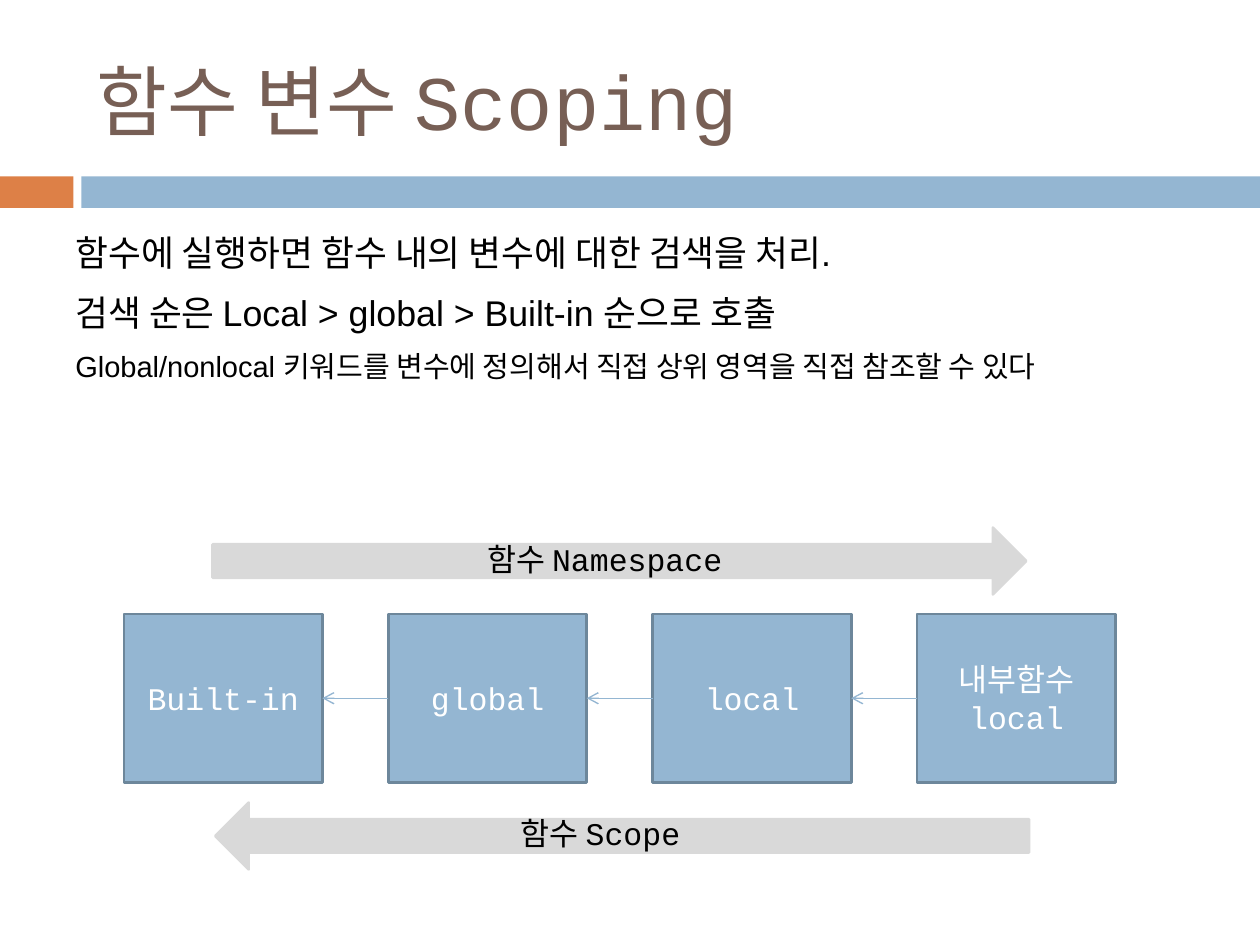
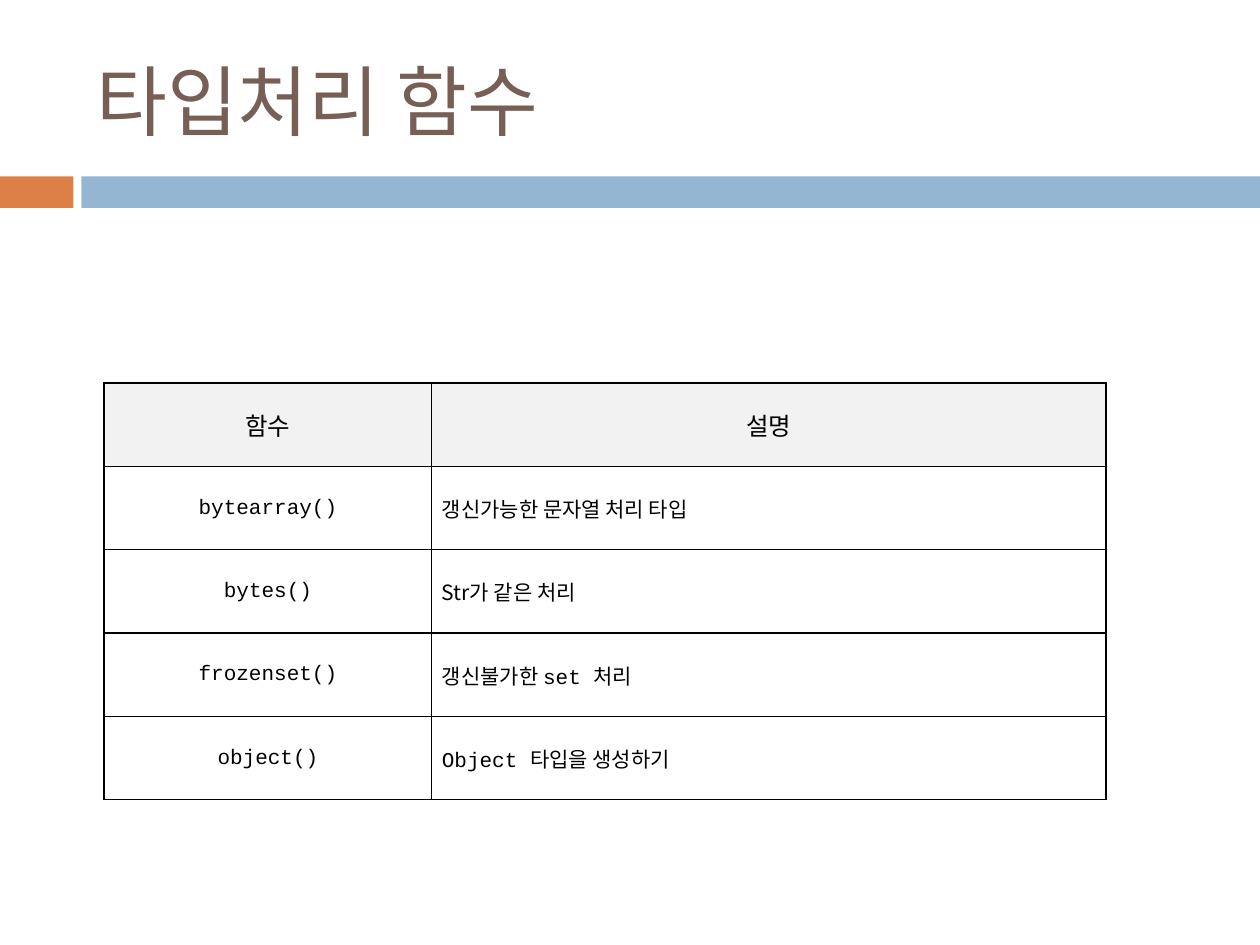
from lxml import etree
from pptx import Presentation
from pptx.dml.color import RGBColor
from pptx.enum.shapes import MSO_CONNECTOR, MSO_SHAPE
from pptx.enum.text import MSO_ANCHOR, PP_ALIGN
from pptx.oxml import parse_xml
from pptx.oxml.ns import nsdecls, qn
from pptx.util import Pt

COLORS = {
    "title": "775F55", "orange": "DD8047", "blue": "94B6D2", "outline": "6D879B",
    "gray": "D9D9D9", "header": "F2F2F2", "black": "000000", "white": "FFFFFF",
}
MONO, SANS, KOREAN = "Courier New", "Arial", "Noto Sans CJK KR"


def write(frame, lines, color="black", align=PP_ALIGN.LEFT, **frame_format):
    for name, value in {"word_wrap": True, **frame_format}.items():
        setattr(frame, name, value)
    for index, (text, size, font) in enumerate(lines):
        para = frame.paragraphs[0] if index == 0 else frame.add_paragraph()
        para.alignment = align
        span = para.add_run()
        span.text = text
        span.font.color.rgb = RGBColor.from_string(COLORS[color])
        for name, value in {"size": Pt(size), "name": font}.items():
            setattr(span.font, name, value)
        etree.SubElement(span._r.get_or_add_rPr(), qn("a:ea"), typeface=KOREAN)


def add_block(page, kind, place, fill, line=None):
    block = page.shapes.add_shape(kind, *map(Pt, place))
    block.shadow.inherit = False
    block.fill.solid()
    block.fill.fore_color.rgb = RGBColor.from_string(COLORS[fill])
    if line:
        block.line.color.rgb = RGBColor.from_string(COLORS[line])
        block.line.width = Pt(1.5)
    else:
        block.line.fill.background()
    return block


deck = Presentation()
deck.slide_width, deck.slide_height = Pt(720), Pt(540)

pages = []
for title in ("함수 변수 Scoping", "타입처리 함수"):
    page = deck.slides.add_slide(deck.slide_layouts[6])
    add_block(page, MSO_SHAPE.RECTANGLE, (0, 100.8, 42, 18), "orange")
    add_block(page, MSO_SHAPE.RECTANGLE, (46.5, 100.8, 673.5, 18), "blue")
    box = page.shapes.add_textbox(Pt(48), Pt(18), Pt(642), Pt(78))
    write(box.text_frame, [(title, 44, MONO)], "title", vertical_anchor=MSO_ANCHOR.MIDDLE)
    pages.append(page)
scope_page, type_page = pages

body = scope_page.shapes.add_textbox(Pt(36), Pt(126), Pt(648), Pt(98.6))
write(body.text_frame, [
    ("함수에 실행하면 함수 내의 변수에 대한 검색을 처리.", 20.4, SANS),
    ("검색 순은 Local > global > Built-in 순으로 호출", 20.4, SANS),
    ("Global/nonlocal 키워드를 변수에 정의해서 직접 상위 영역을 직접 참조할 수 있다", 16.6, SANS),
])
for index, para in enumerate(body.text_frame.paragraphs):
    para.line_spacing = 1.1
    para.space_before = Pt(7 if index else 0)

for label, arrow_place, rotation, label_place in (
    ("함수 Namespace", (121.5, 301.5, 465, 38.2), 0, (218, 305.3, 255, 29)),
    ("함수 Scope ", (123, 458.6, 465, 38.2), 180, (269.3, 461.5, 158.4, 29)),
):
    arrow = add_block(scope_page, MSO_SHAPE.RIGHT_ARROW, arrow_place, "gray", "gray")
    arrow.rotation = rotation
    box = scope_page.shapes.add_textbox(*map(Pt, label_place))
    write(box.text_frame, [(label, 18, MONO)], align=PP_ALIGN.CENTER)

scopes = []
for index, names in enumerate((["Built-in"], ["global"], ["local"], ["내부함수", "local"])):
    place = (70.8 + 151.1 * index, 350.8, 113.4, 96.4)
    scope = add_block(scope_page, MSO_SHAPE.RECTANGLE, place, "blue", "outline")
    write(scope.text_frame, [(name, 18, MONO) for name in names], "white",
          PP_ALIGN.CENTER, vertical_anchor=MSO_ANCHOR.MIDDLE)
    scopes.append(scope)

for outer, inner in zip(scopes, scopes[1:]):
    link = scope_page.shapes.add_connector(MSO_CONNECTOR.STRAIGHT, 0, 0, 0, 0)
    link.begin_connect(inner, 1)
    link.end_connect(outer, 3)
    link.line.color.rgb = RGBColor.from_string(COLORS["blue"])
    link.line.width = Pt(0.79)
    etree.SubElement(link.line._get_or_add_ln(), qn("a:tailEnd"), type="arrow")
    etree.SubElement(link._element.spPr, qn("a:effectLst"))

rows = [
    (("함수", 14, MONO), ("설명", 14, KOREAN)),
    (("bytearray()", 12, MONO), ("갱신가능한 문자열 처리 타입", 12, KOREAN)),
    (("bytes()", 12, MONO), ("Str가 같은 처리", 12, KOREAN)),
    (("frozenset()", 12, MONO), ("갱신불가한 set 처리", 12, MONO)),
    (("object()", 12, MONO), ("Object 타입을 생성하기", 12, MONO)),
]
widths, row_height = (187.2, 385.2), 47.65
table = type_page.shapes.add_table(
    len(rows), len(widths), Pt(59.5), Pt(218.8), Pt(sum(widths)), Pt(row_height * len(rows))
).table
table.first_row = table.horz_banding = False
for column, width in zip(table.columns, widths):
    column.width = Pt(width)
for row_index, row in enumerate(rows):
    table.rows[row_index].height = Pt(row_height)
    for column_index, line in enumerate(row):
        cell = table.cell(row_index, column_index)
        described = row_index > 0 and column_index == 1
        write(cell.text_frame, [line], align=PP_ALIGN.LEFT if described else PP_ALIGN.CENTER)
        for name, value in {
            "margin_left": Pt(5.8 if described else 0.7), "margin_top": Pt(0.7),
            "margin_right": Pt(0.7), "margin_bottom": Pt(0),
            "vertical_anchor": MSO_ANCHOR.MIDDLE,
        }.items():
            setattr(cell, name, value)
        borders = cell._tc.get_or_add_tcPr()
        for side in "LRTB":
            borders.append(parse_xml(
                f'<a:ln{side} {nsdecls("a")} w="{Pt(1)}"><a:solidFill>'
                f'<a:srgbClr val="{COLORS["black"]}"/></a:solidFill></a:ln{side}>'
            ))
        if row_index == 0:
            cell.fill.solid()
            cell.fill.fore_color.rgb = RGBColor.from_string(COLORS["header"])
        else:
            cell.fill.background()

deck.save("out.pptx")
